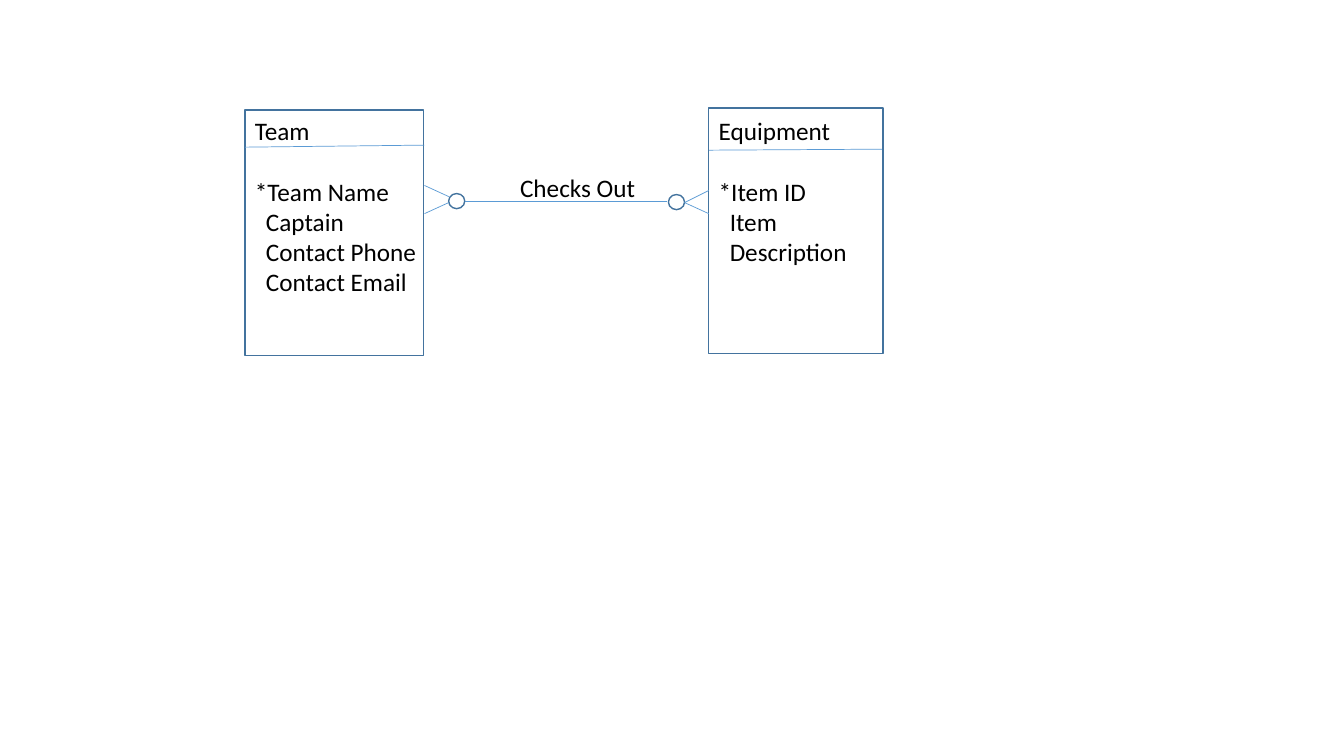
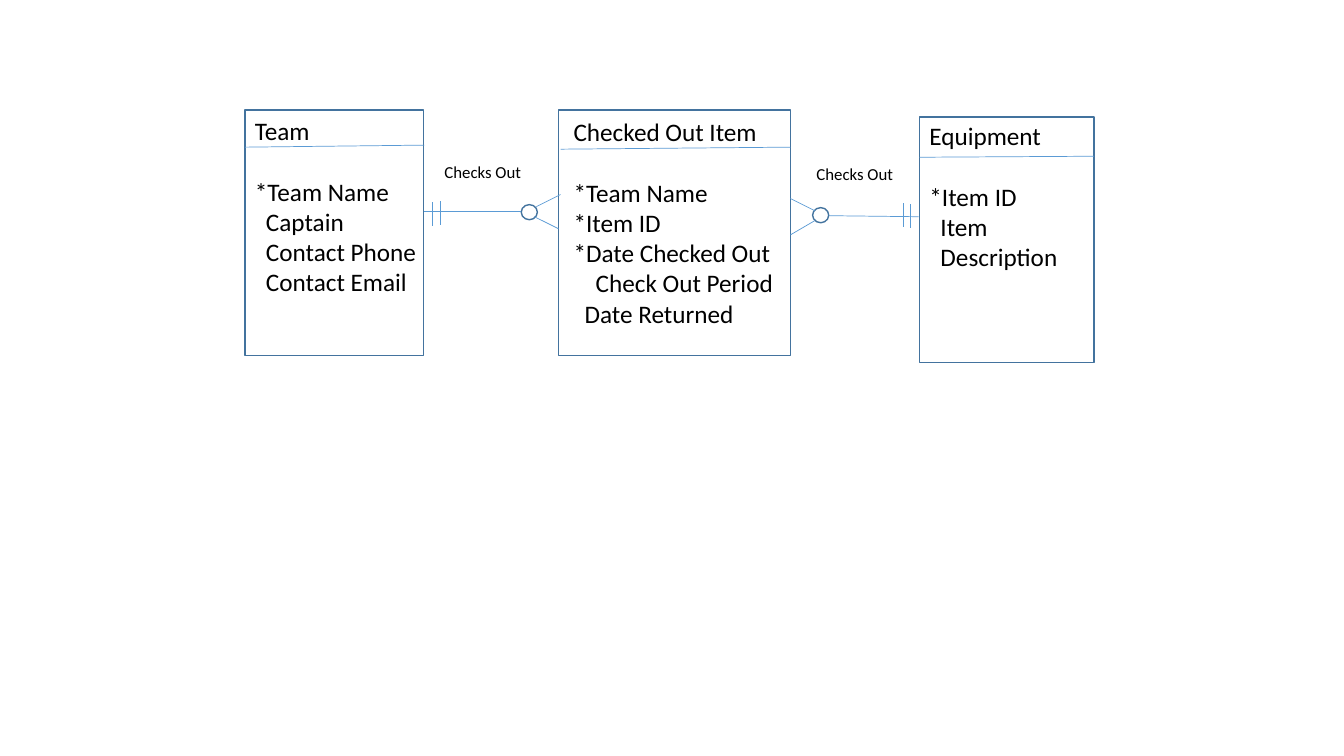
"""Build two entity-relationship slides for team equipment check-outs."""
import pptx
import pptx.dml.color
import pptx.enum.shapes
import pptx.enum.text
import pptx.oxml
import pptx.oxml.ns
import pptx.util
from pptx.util import Inches, Pt

BORDER = "43739E"
STROKE = "5B9BD5"
INK = "000000"
FONT = "Calibri"
BODY_SIZE = 18
LINE_HEIGHT = 22
BOX_HEIGHT = 2.44
CIRCLE_WIDTH, CIRCLE_HEIGHT = 0.16, 0.15
STEP = 0.11


def color(value):
    return pptx.dml.color.RGBColor.from_string(value)


def add_text(slide, place, rows, size, wrap):
    box = slide.shapes.add_textbox(*[Inches(value) for value in place])
    frame = box.text_frame
    frame.word_wrap = wrap
    frame.auto_size = pptx.enum.text.MSO_AUTO_SIZE.SHAPE_TO_FIT_TEXT
    for index, (text, level) in enumerate(rows):
        para = frame.paragraphs[0] if index == 0 else frame.add_paragraph()
        if index == 1:
            para.space_before = Pt(LINE_HEIGHT)
        if level:
            para._p.get_or_add_pPr().set("marL", str(Inches(level * STEP)))
        span = para.add_run()
        span.text = text
        span.font.name = FONT
        span.font.size = Pt(size)
        span.font.color.rgb = color(INK)


team_rows = [("Team", 0), ("*Team Name", 0), ("Captain", 1),
             ("Contact Phone", 1), ("Contact Email", 1)]
equipment_rows = [("Equipment", 0), ("*Item ID", 0), ("Item", 1), ("Description", 1)]
item_rows = [("Checked Out Item", 0), ("*Team Name", 0), ("*Item ID", 0),
             ("*Date Checked Out", 0), ("Check Out Period", 2), ("Date Returned", 1)]

team = {"box": (2.43, 1.09, 1.77), "text": (2.43, 1.09, 1.94, 1.92),
        "rule": (2.43, 1.46, 4.21, 1.44), "rows": team_rows}

diagrams = [
    {
        "entities": [
            team,
            {"box": (7.03, 1.07, 1.73), "text": (7.03, 1.09, 1.94, 1.62),
             "rule": (7.03, 1.49, 8.75, 1.48), "rows": equipment_rows},
        ],
        "links": [(4.61, 2, 6.62, 2)],
        "crow_feet": [(6.79, 2.01, 7.03, 1.89), (6.79, 2.01, 7.03, 2.12),
                      (4.21, 2.12, 4.45, 2.01), (4.21, 1.84, 4.45, 1.95)],
        "bars": [],
        "circles": [(4.45, 1.92), (6.63, 1.93)],
        "labels": [(5.06, 1.66, 1.35, 0.4)],
        "label_size": 18,
    },
    {
        "entities": [
            team,
            {"box": (5.54, 1.09, 2.3), "text": (5.59, 1.1, 2.31, 2.22),
             "rule": (5.56, 1.48, 7.84, 1.46), "rows": item_rows},
            {"box": (9.12, 1.16, 1.73), "text": (9.12, 1.14, 1.94, 1.62),
             "rule": (9.12, 1.56, 10.85, 1.55), "rows": equipment_rows},
        ],
        "links": [(4.21, 2.1, 5.17, 2.1), (8.22, 2.14, 9.11, 2.15)],
        "crow_feet": [(7.84, 1.97, 8.08, 2.09), (8.08, 2.19, 7.84, 2.33),
                      (5.32, 2.05, 5.56, 1.93), (5.3, 2.15, 5.54, 2.27)],
        "bars": [(x, top + 0.24, x, top) for x, top in
                 [(4.29, 2), (4.37, 1.99), (8.96, 2.01), (9.03, 2.02)]],
        "circles": [(5.17, 2.03), (8.06, 2.06)],
        "labels": [(4.31, 1.56, 0.97, 0.3), (8, 1.58, 0.97, 0.3)],
        "label_size": 12,
    },
]

deck = pptx.Presentation()
deck.slide_width = Inches(13.33)
deck.slide_height = Inches(7.5)
blank_layout = deck.slide_layouts[6]
kinds = pptx.enum.shapes.MSO_SHAPE

for diagram in diagrams:
    slide = deck.slides.add_slide(blank_layout)
    entities = diagram["entities"]

    outlines = [(kinds.RECTANGLE, (*entity["box"], BOX_HEIGHT)) for entity in entities]
    outlines += [(kinds.OVAL, (left, top, CIRCLE_WIDTH, CIRCLE_HEIGHT))
                 for left, top in diagram["circles"]]
    for kind, place in outlines:
        shape = slide.shapes.add_shape(kind, *[Inches(value) for value in place])
        shape.fill.background()
        shape.line.color.rgb = color(BORDER)
        shape.line.width = Pt(1)
        shape.shadow.inherit = False

    rules = [entity["rule"] for entity in entities]
    for ends in rules + diagram["links"] + diagram["crow_feet"] + diagram["bars"]:
        line = slide.shapes.add_connector(
            pptx.enum.shapes.MSO_CONNECTOR.STRAIGHT, *[Inches(value) for value in ends])
        line.line.color.rgb = color(STROKE)
        line.line.width = Pt(0.5)
        line._element.spPr.append(pptx.oxml.parse_xml(
            f"<a:effectLst {pptx.oxml.ns.nsdecls('a')}/>"))

    for entity in entities:
        add_text(slide, entity["text"], entity["rows"], BODY_SIZE, True)
    for place in diagram["labels"]:
        add_text(slide, place, [("Checks Out", 0)], diagram["label_size"], False)

deck.save("out.pptx")
